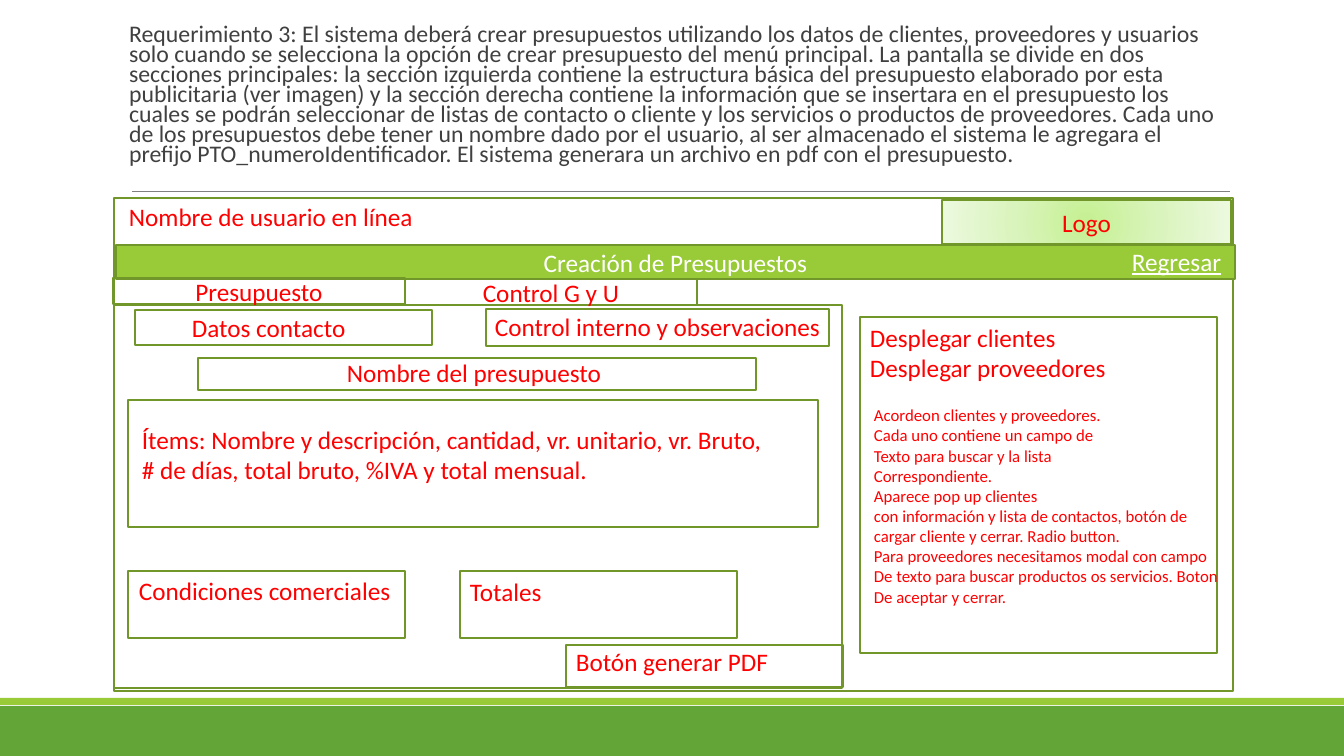
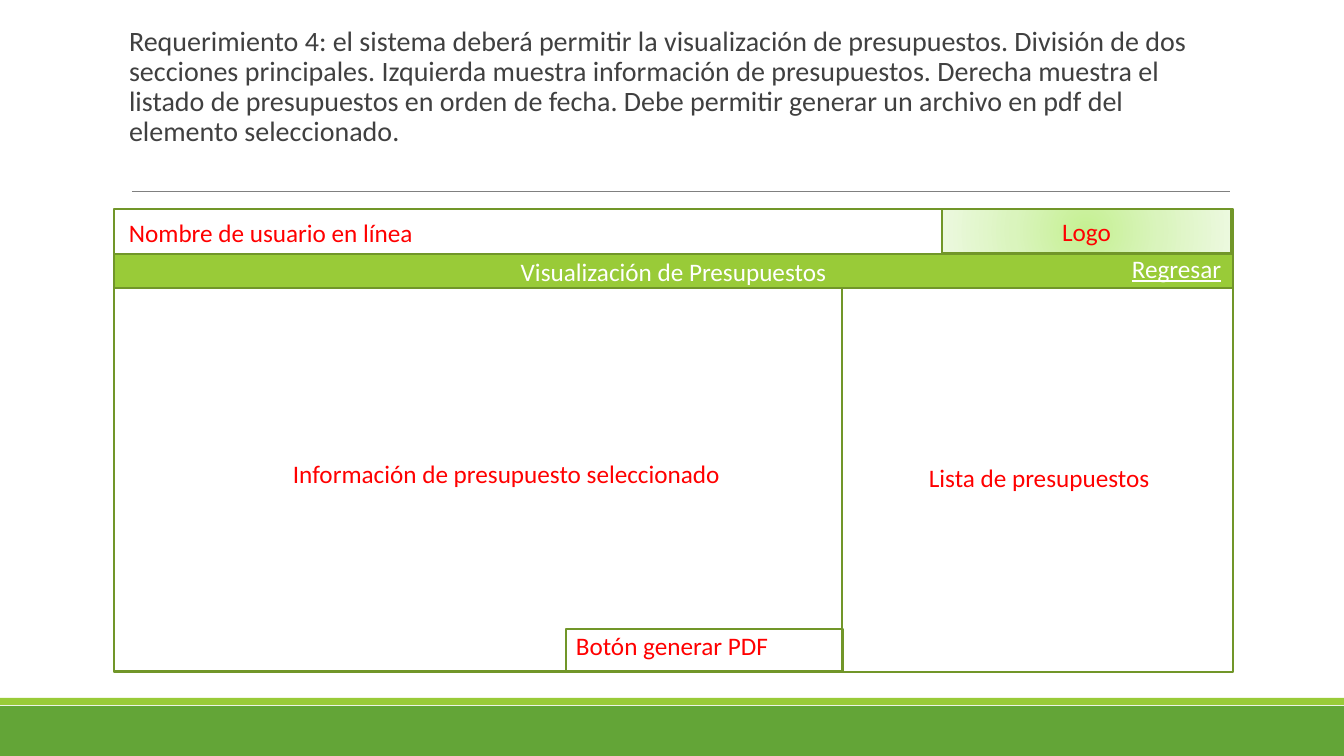
from dataclasses import dataclass

from pptx import Presentation
from pptx import util as u
from pptx.dml.color import RGBColor
from pptx.enum import shapes, text
from pptx.oxml import parse_xml
from pptx.oxml.ns import nsdecls, qn
from pptx.oxml.xmlchemy import OxmlElement

SLIDE_W, SLIDE_H = 1344, 756
EMU_PER_PX = 914400 / 100.8
FONT = "Calibri"

GREEN = RGBColor(0x63, 0xA5, 0x37)
LIME = RGBColor(0x99, 0xCB, 0x38)
OUTLINE = RGBColor(0x71, 0x96, 0x29)
GRAY = RGBColor(0x80, 0x80, 0x80)
DARK = RGBColor(0x40, 0x40, 0x40)
RED = RGBColor(0xFF, 0x00, 0x00)
WHITE = RGBColor(0xFF, 0xFF, 0xFF)
LOGO_STOPS = ((0, "C5F092"), (50, "DAF4BD"), (100, "ECF9DF"))

FRAME_X, FRAME_W = 114, 1119
PANEL_W, PANEL_H = 728, 383
TAB_W, TAB_H = 292, 26
SMALL_W, SMALL_H = 277, 67
BUTTON_X, BUTTON_H = 566, 42


@dataclass(frozen=True)
class Frame:
    """An outlined rectangle, with an optional centred caption."""
    x: int
    y: int
    w: int
    h: int
    caption: str = ""


@dataclass(frozen=True)
class Label:
    """Red text; without wrap each line stays whole."""
    x: int
    y: int
    w: int
    h: int
    lines: tuple[str, ...]
    size: int = 18
    wrap: bool = False


@dataclass(frozen=True)
class Screen:
    title: str
    title_size: int
    title_spacing: float
    frame_y: int
    frame_h: int
    logo_y: int
    user_y: int
    band: Frame
    back_y: int
    button_y: int
    frames: tuple[Frame, ...]
    labels: tuple[Label, ...]


SCREENS = (
    Screen(
        title="Requerimiento 3: El sistema deberá crear presupuestos utilizando los datos de "
              "clientes, proveedores y usuarios solo cuando se selecciona la opción de crear "
              "presupuesto del menú principal. La pantalla se divide en dos secciones "
              "principales: la sección izquierda contiene la estructura básica del presupuesto "
              "elaborado por esta publicitaria (ver imagen) y la sección derecha contiene la "
              "información que se insertara en el presupuesto los cuales se podrán seleccionar "
              "de listas de contacto o cliente y los servicios o productos de proveedores. Cada "
              "uno de los presupuestos debe tener un nombre dado por el usuario, al ser "
              "almacenado el sistema le agregara el prefijo PTO_numeroIdentificador. El sistema "
              "generara un archivo en pdf con el presupuesto.",
        title_size=17, title_spacing=0.7,
        frame_y=198, frame_h=493, logo_y=200, user_y=196,
        band=Frame(116, 245, FRAME_W, 34, "Creación de Presupuestos"),
        back_y=241, button_y=645,
        frames=(
            Frame(FRAME_X, 305, PANEL_W, PANEL_H),
            Frame(128, 400, 690, 127),
            Frame(113, 278, TAB_W, TAB_H, "Presupuesto"),
            Frame(113 + TAB_W, 279, TAB_W, TAB_H, "Control G y U"),
            Frame(128, 571, SMALL_W, SMALL_H),
            Frame(460, 571, SMALL_W, SMALL_H),
            Frame(486, 309, 343, 37),
            Frame(198, 358, 558, 32),
            Frame(860, 317, 357, 336),
            Frame(135, 310, 297, 35),
        ),
        labels=(
            Label(182, 307, 175, 40, ("Datos contacto",)),
            Label(132, 419, 655, 72, (
                "Ítems: Nombre y descripción, cantidad, vr. unitario, vr. Bruto,",
                "# de días, total bruto, %IVA y total mensual.")),
            Label(129, 570, 275, 40, ("Condiciones comerciales",)),
            Label(485, 306, 349, 40, ("Control interno y observaciones",)),
            Label(337, 352, 277, 40, ("Nombre del presupuesto",)),
            Label(460, 571, 93, 40, ("Totales",)),
            Label(860, 317, 265, 72, ("Desplegar clientes", "Desplegar proveedores")),
            Label(864, 400, 406, 244, (
                "Acordeon clientes y proveedores.",
                "Cada uno contiene un campo de",
                "Texto para buscar y la lista",
                "Correspondiente.",
                "Aparece pop up clientes",
                "con información y lista de contactos, botón de",
                "cargar cliente y cerrar. Radio button.",
                "Para proveedores necesitamos modal con campo",
                "De texto para buscar productos os servicios. Boton",
                "De aceptar y cerrar."), size=12, wrap=True),
        ),
    ),
    Screen(
        title="Requerimiento 4: el sistema deberá permitir la visualización de presupuestos. "
              "División de dos secciones principales. Izquierda muestra información de "
              "presupuestos. Derecha muestra el listado de presupuestos en orden de fecha. Debe "
              "permitir generar un archivo en pdf del elemento seleccionado.",
        title_size=20, title_spacing=0.9,
        frame_y=209, frame_h=463, logo_y=209, user_y=212,
        band=Frame(FRAME_X, 254, FRAME_W, 34, "Visualización de Presupuestos"),
        back_y=248, button_y=629,
        frames=(Frame(FRAME_X, 288, PANEL_W, PANEL_H),),
        labels=(
            Label(283, 453, 453, 40, ("Información de presupuesto seleccionado",)),
            Label(919, 457, 244, 40, ("Lista de presupuestos",)),
        ),
    ),
)


def px(n: float) -> u.Emu:
    return u.Emu(round(n * EMU_PER_PX))


def write(tf, *lines: str, size: int = 18, color: RGBColor = RED, align=text.PP_ALIGN.LEFT,
          underline: bool = False, spacing: float = 1.0) -> None:
    for i, line in enumerate(lines):
        p = tf.add_paragraph() if i else tf.paragraphs[0]
        p.alignment = align
        p.line_spacing = spacing
        r = p.add_run()
        r.text = line
        r.font.name, r.font.size = FONT, u.Pt(size)
        r.font.color.rgb = color
        if underline:
            r.font.underline = True


def add_rect(s, box: Frame, fill: RGBColor | None = None, line: RGBColor | None = OUTLINE,
             color: RGBColor = RED):
    sp = s.shapes.add_shape(shapes.MSO_SHAPE.RECTANGLE, px(box.x), px(box.y), px(box.w), px(box.h))
    sp.shadow.inherit = False
    if fill is None:
        sp.fill.background()
    else:
        sp.fill.solid()
        sp.fill.fore_color.rgb = fill
    if line is None:
        sp.line.fill.background()
    else:
        sp.line.color.rgb = line
        sp.line.width = u.Pt(1.25)
    if box.caption:
        sp.text_frame.vertical_anchor = text.MSO_ANCHOR.MIDDLE
        write(sp.text_frame, box.caption, color=color, align=text.PP_ALIGN.CENTER)
    return sp


def add_label(s, label: Label, color: RGBColor = RED, underline: bool = False) -> None:
    tf = s.shapes.add_textbox(px(label.x), px(label.y), px(label.w), px(label.h)).text_frame
    tf.word_wrap = label.wrap
    tf.auto_size = text.MSO_AUTO_SIZE.SHAPE_TO_FIT_TEXT
    write(tf, *label.lines, size=label.size, color=color, underline=underline)


def fill_radial(sp, stops: tuple[tuple[int, str], ...]) -> None:
    sp.fill.gradient()
    old = sp.element.spPr.find(qn("a:gradFill"))
    gs = "".join(f'<a:gs pos="{pos * 1000}"><a:srgbClr val="{rgb}"/></a:gs>' for pos, rgb in stops)
    new = parse_xml(
        f'<a:gradFill {nsdecls("a")} rotWithShape="1"><a:gsLst>{gs}</a:gsLst><a:path path="circle">'
        '<a:fillToRect l="50000" t="50000" r="50000" b="50000"/></a:path></a:gradFill>')
    sp.element.spPr.replace(old, new)


def add_base(s) -> None:
    """Footer bands and the rule below the title."""
    add_rect(s, Frame(0, 706, SLIDE_W, 50), GREEN, None)
    add_rect(s, Frame(0, 698, SLIDE_W, 7), LIME, None)
    rule = s.shapes.add_connector(shapes.MSO_CONNECTOR.STRAIGHT,
                                  px(132), px(191), px(1230), px(191))
    rule.line.color.rgb = GRAY
    rule.line.width = u.Pt(0.5)
    rule.element.spPr.append(OxmlElement("a:effectLst"))


def add_title(s, screen: Screen) -> None:
    tf = s.shapes.add_textbox(px(119), px(22), px(1109), px(151)).text_frame
    tf.word_wrap = True
    tf.margin_left, tf.margin_right = px(10), 0
    write(tf, screen.title, size=screen.title_size, color=DARK, spacing=screen.title_spacing)


def add_screen(prs, screen: Screen) -> None:
    s = prs.slides.add_slide(prs.slide_layouts[6])
    add_base(s)
    add_title(s, screen)
    add_rect(s, Frame(FRAME_X, screen.frame_y, FRAME_W, screen.frame_h))
    fill_radial(add_rect(s, Frame(942, screen.logo_y, 289, 44, "Logo")), LOGO_STOPS)
    add_label(s, Label(119, screen.user_y, 307, 40, ("Nombre de usuario en línea",)))
    add_rect(s, screen.band, LIME, color=WHITE)
    add_label(s, Label(1122, screen.back_y, 111, 40, ("Regresar",)), WHITE, underline=True)
    for frame in screen.frames:
        add_rect(s, frame)
    for label in screen.labels:
        add_label(s, label)
    add_label(s, Label(BUTTON_X, screen.button_y - 4, 215, 40, ("Botón generar PDF",)))
    add_rect(s, Frame(BUTTON_X, screen.button_y, SMALL_W, BUTTON_H))


def main() -> None:
    prs = Presentation()
    prs.slide_width, prs.slide_height = px(SLIDE_W), px(SLIDE_H)
    for screen in SCREENS:
        add_screen(prs, screen)
    prs.save("out.pptx")


if __name__ == "__main__":
    main()
